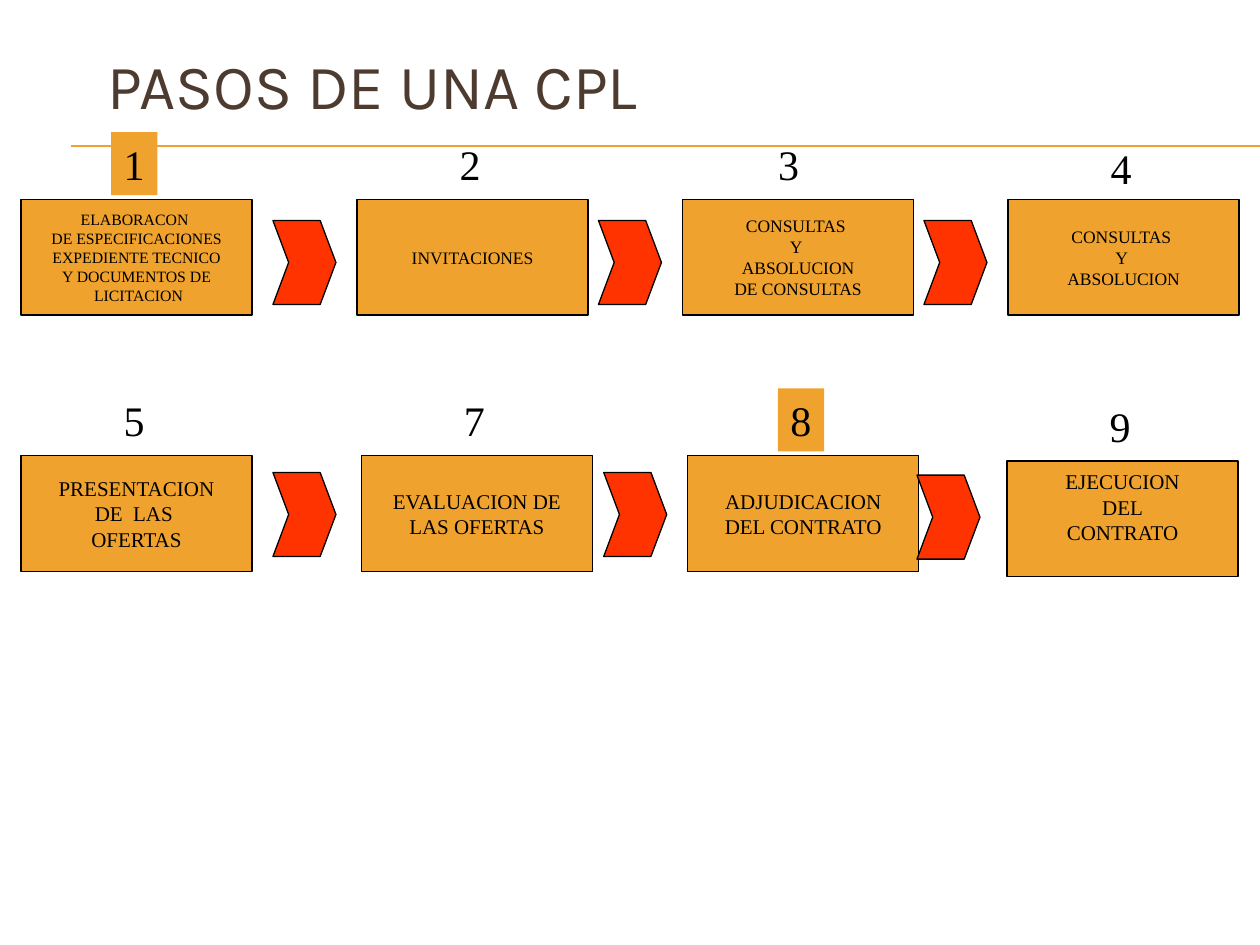
from lxml import etree
from pptx import Presentation
from pptx.dml.color import RGBColor
from pptx.enum import shapes, text
from pptx.oxml.ns import qn
from pptx.util import Pt

ORANGE, RED, BLACK, BROWN = "F0A22E", "FF3300", "000000", "4E3B30"
BOX_WIDTH, BOX_HEIGHT = 132, 66

# Number, left, top, number offset (x, y), number filled, text size, lines
STEPS = [
    ("1", 12, 114, 51.5, -38.5, True, 9,
     ["ELABORACON ", "DE ESPECIFICACIONES", "EXPEDIENTE TECNICO",
      "Y DOCUMENTOS DE", " LICITACION"]),
    ("2", 204, 114, 51.5, -38.5, False, 10, ["INVITACIONES"]),
    ("3", 390, 114, 47.5, -38.5, False, 10,
     ["CONSULTAS ", "Y ", "ABSOLUCION", "DE CONSULTAS"]),
    ("4", 576, 114, 51.5, -36, False, 10, ["CONSULTAS ", "Y ", "ABSOLUCION"]),
    ("5", 12, 260.5, 51.5, -38.5, False, 12,
     ["PRESENTACION", "DE  LAS ", "OFERTAS"]),
    ("7", 206.5, 260.5, 51.5, -38.5, False, 12, ["EVALUACION DE", "LAS OFERTAS"]),
    ("8", 393, 260.5, 51.5, -38.5, True, 12, ["ADJUDICACION", "DEL CONTRATO"]),
    ("9", 575.5, 263.5, 51.5, -38.5, False, 12, ["EJECUCION", "DEL", "CONTRATO"]),
]
CHEVRONS = [(156, 126), (342, 126), (528, 126),
            (156, 270), (345, 270), (524, 271.5)]


def color(value):
    return RGBColor.from_string(value)


def format_text(text_frame, size, font_name, font_color, alignment):
    for paragraph in text_frame.paragraphs:
        paragraph.alignment = alignment
        for run in paragraph.runs:
            run.font.size = Pt(size)
            run.font.name = font_name
            run.font.color.rgb = color(font_color)


def add_block(slide, kind, left, top, width, height, fill, line=BLACK):
    shape = slide.shapes.add_shape(kind, Pt(left), Pt(top), Pt(width), Pt(height))
    shape.shadow.inherit = False
    if fill:
        shape.fill.solid()
        shape.fill.fore_color.rgb = color(fill)
    else:
        shape.fill.background()
    if line:
        shape.line.color.rgb = color(line)
        shape.line.width = Pt(0.75)
    else:
        shape.line.fill.background()
    return shape


def add_title(slide, left, top, width, height):
    title = slide.shapes.title
    title.left, title.top = Pt(left), Pt(top)
    title.width, title.height = Pt(width), Pt(height)
    title.text_frame.text = "PASOS DE UNA CPL"
    title.text_frame.vertical_anchor = text.MSO_ANCHOR.MIDDLE
    format_text(title.text_frame, 36, "Karla", BROWN, text.PP_ALIGN.LEFT)


def add_rule(slide, left, right, top):
    line = slide.shapes.add_connector(
        shapes.MSO_CONNECTOR.STRAIGHT, Pt(left), Pt(top), Pt(right), Pt(top))
    line.line.color.rgb = color(ORANGE)
    line.line.width = Pt(0.75)
    etree.SubElement(line._element.spPr, qn("a:effectLst"))


def add_step(slide, number, left, top, offset_x, offset_y, filled, size, lines):
    """Add a step box with its number above it."""
    rectangle = shapes.MSO_SHAPE.RECTANGLE
    box = add_block(slide, rectangle, left, top, BOX_WIDTH, BOX_HEIGHT, ORANGE)
    label = add_block(slide, rectangle, left + offset_x, top + offset_y, 26.5, 36,
                      ORANGE if filled else None, None)
    for shape, content, font_size, alignment in (
            (box, "\n".join(lines), size, text.PP_ALIGN.CENTER),
            (label, number, 24, text.PP_ALIGN.LEFT)):
        frame = shape.text_frame
        frame.text = content
        frame.word_wrap = False
        frame.vertical_anchor = text.MSO_ANCHOR.MIDDLE
        format_text(frame, font_size, "Times New Roman", BLACK, alignment)
    return box


def add_chevron(slide, left, top):
    chevron = add_block(slide, shapes.MSO_SHAPE.CHEVRON, left, top, 36, 48, RED)
    chevron.adjustments[0] = 0.25


def main():
    presentation = Presentation()
    presentation.slide_width, presentation.slide_height = Pt(720), Pt(540)
    slide = presentation.slides.add_slide(presentation.slide_layouts[5])
    for top in (83, 83.5):
        add_rule(slide, 40.5, 720, top)
    add_title(slide, 54, 12, 612, 72)
    for step in STEPS:
        box = add_step(slide, *step)
    box.text_frame.margin_bottom = Pt(17.5)  # the last step sits higher in its box
    for left, top in CHEVRONS:
        add_chevron(slide, left, top)
    presentation.save("out.pptx")


if __name__ == "__main__":
    main()
